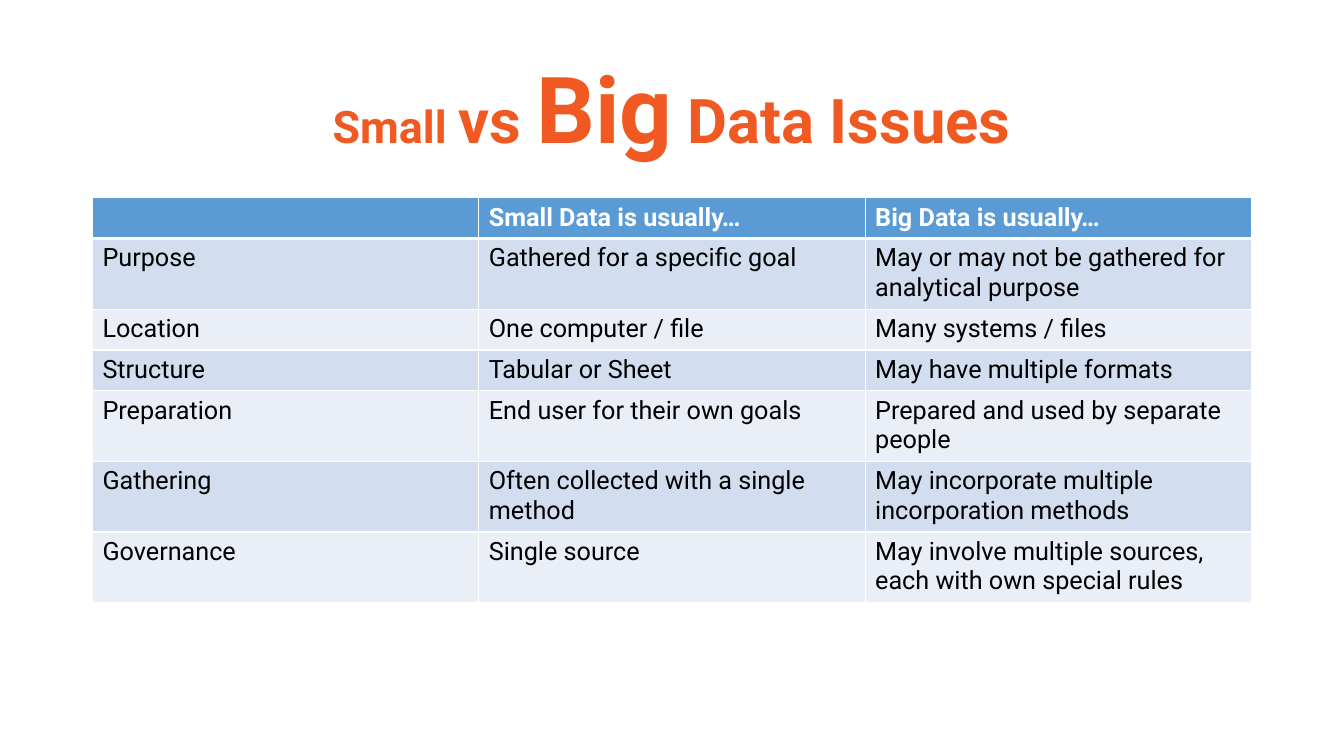
from lxml import etree
from pptx import Presentation
from pptx.dml.color import RGBColor
from pptx.enum.text import MSO_ANCHOR, PP_ALIGN
from pptx.oxml import parse_xml
from pptx.oxml.ns import nsdecls
from pptx.util import Cm, Pt

FONT = "Roboto"
ORANGE, BLUE, WHITE, BLACK = "F15922", "5B9BD5", "FFFFFF", "000000"
BANDS = ["EAEFF7", "D2DEEF"]
LEFT, WIDTH = Cm(2.33), Cm(29.21)

TITLE = [("Small ", 32), ("vs ", 44), ("Big", 66), (" Data Issues", 44)]
ROWS = [
    ("", "Small Data is usually…", "Big Data is usually…"),
    ("Purpose", "Gathered for a specific goal",
     "May or may not be gathered for analytical purpose"),
    ("Location", "One computer / file", "Many systems / files"),
    ("Structure", "Tabular or Sheet", "May have multiple formats"),
    ("Preparation", "End user for their own goals",
     "Prepared and used by separate people"),
    ("Gathering", "Often collected with a single method",
     "May incorporate multiple incorporation methods"),
    ("Governance", "Single source",
     "May involve multiple sources, each with own special rules"),
]


def rgb(color):
    return RGBColor.from_string(color)


def style(font, size, color, bold):
    font.name = FONT
    font.size = Pt(size)
    font.bold = bold
    font.color.rgb = rgb(color)


prs = Presentation()
prs.slide_width, prs.slide_height = Cm(33.87), Cm(19.05)
s = prs.slides.add_slide(prs.slide_layouts[6])

# Title
tf = s.shapes.add_textbox(LEFT, Cm(1.01), WIDTH, Cm(3.68)).text_frame
tf.word_wrap = True
tf.vertical_anchor = MSO_ANCHOR.MIDDLE
p = tf.paragraphs[0]
p.alignment = PP_ALIGN.CENTER
p.line_spacing = 0.9
for text, size in TITLE:
    r = p.add_run()
    r.text = text
    style(r.font, size, ORANGE, True)

# Comparison table
frame = s.shapes.add_table(len(ROWS), 3, LEFT, Cm(4.98), WIDTH, Cm(10.21))
table = frame.table
for row in table.rows:
    row.height = Cm(1.03)
table.rows[len(ROWS) - 1].height = Cm(1.37)
frame.height = Cm(10.21)

for i, texts in enumerate(ROWS):
    header = i == 0
    for j, text in enumerate(texts):
        cell = table.cell(i, j)
        # White borders, thicker between the header and the body
        widths = {"L": 1, "R": 1, "T": 3 if i == 1 else 1, "B": 3 if header else 1}
        for side, width in widths.items():
            cell._tc.get_or_add_tcPr().append(parse_xml(
                f'<a:ln{side} {nsdecls("a")} w="{Pt(width)}"><a:solidFill>'
                f'<a:srgbClr val="{WHITE}"/></a:solidFill></a:ln{side}>'))
        cell.fill.solid()
        cell.fill.fore_color.rgb = rgb(BLUE if header else BANDS[i % 2])
        if text:
            cell.text_frame.text = text
            r = cell.text_frame.paragraphs[0].runs[0]
            style(r.font, 18, WHITE if header else BLACK, header)

prs.save("out.pptx")
